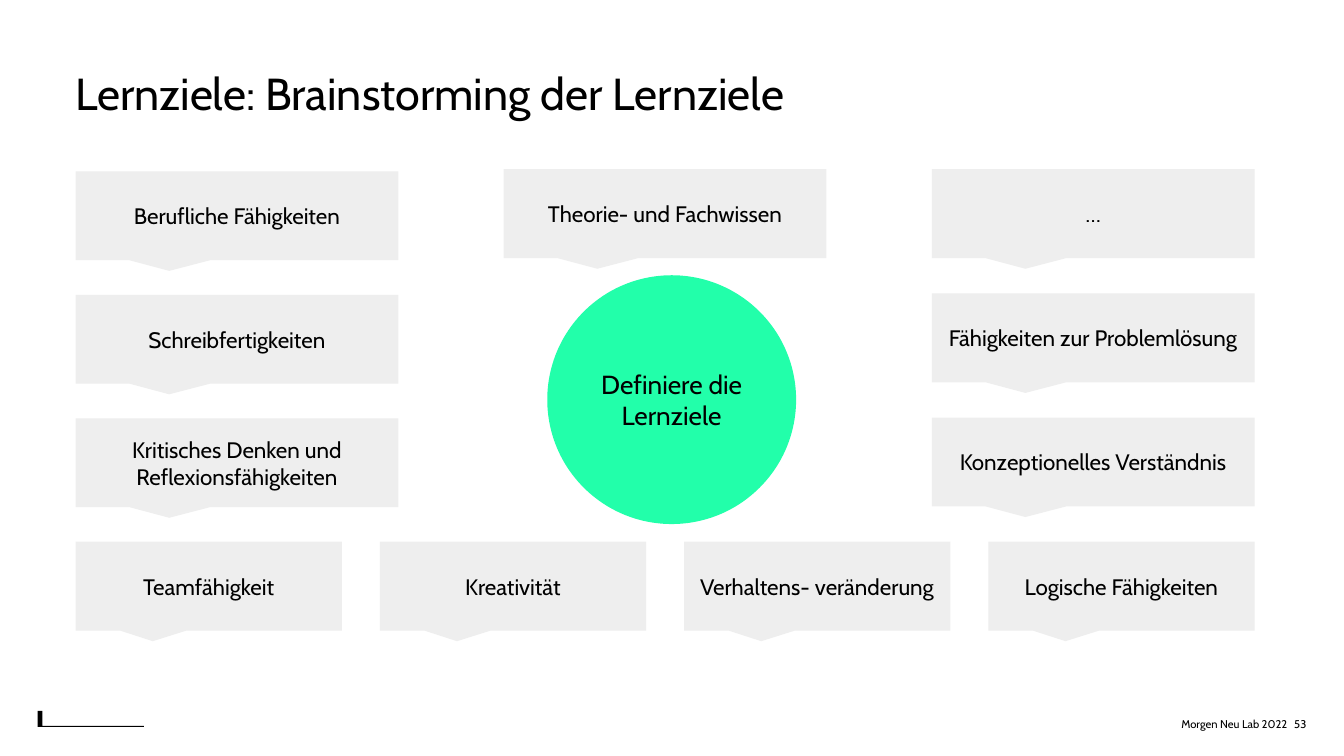
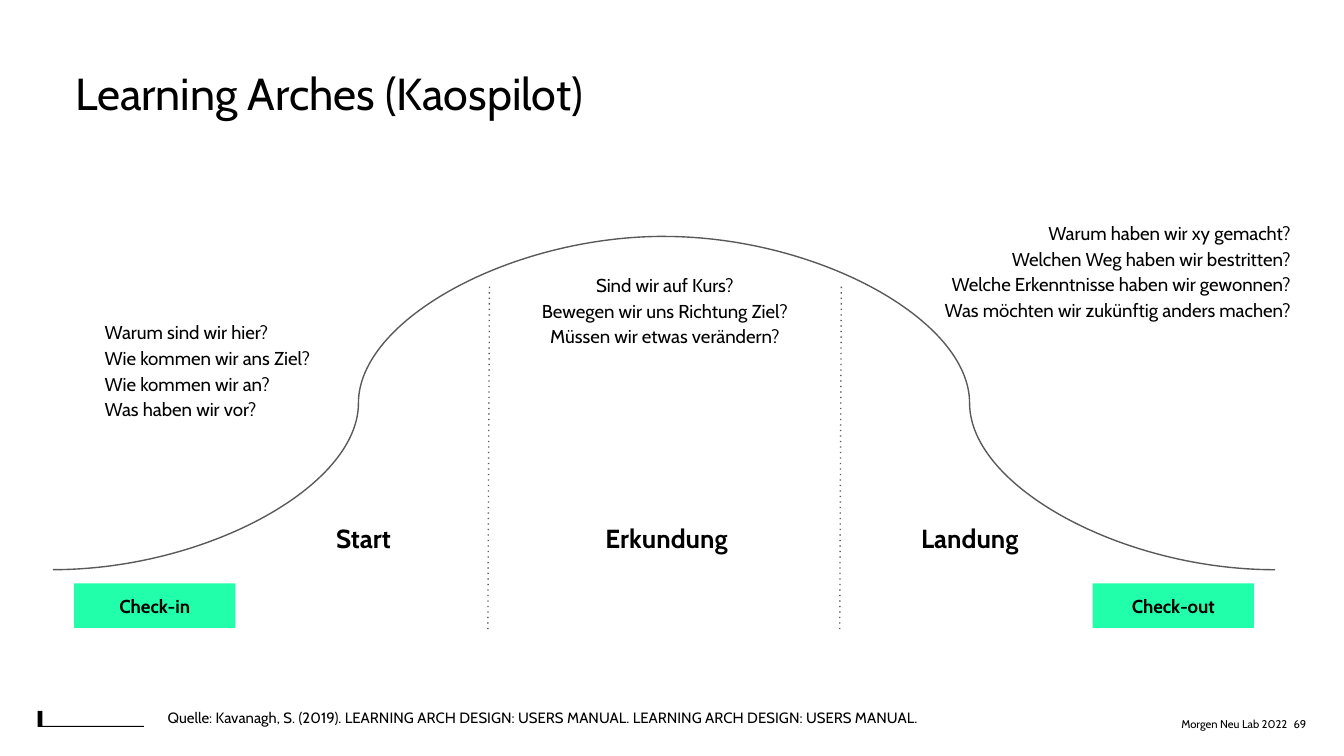
from lxml.etree import SubElement
from pptx import Presentation
from pptx.dml.color import RGBColor
from pptx.enum.shapes import MSO_CONNECTOR, MSO_SHAPE
from pptx.enum.text import MSO_ANCHOR, MSO_AUTO_SIZE, PP_ALIGN
from pptx.oxml.ns import qn
from pptx.util import Cm, Pt

FONT = "Cabin"
BLACK = RGBColor(0x00, 0x00, 0x00)
WHITE = RGBColor(0xFF, 0xFF, 0xFF)
GREY = RGBColor(0xEE, 0xEE, 0xEE)
DARK_GREY = RGBColor(0x59, 0x59, 0x59)
MINT = RGBColor(0x22, 0xFF, 0xAA)
LEFT, CENTER, RIGHT = PP_ALIGN.LEFT, PP_ALIGN.CENTER, PP_ALIGN.RIGHT
INSET = 0.25
CALLOUT_H = 1.68


def cm(*values):
    return [Cm(v) for v in values]


def write(sp, lines, size, align=CENTER, bold=False, spacing=None,
          anchor=MSO_ANCHOR.MIDDLE, insets=(INSET,) * 4):
    tf = sp.text_frame
    tf.word_wrap = True
    tf.auto_size = MSO_AUTO_SIZE.NONE
    tf.vertical_anchor = anchor
    tf.margin_left, tf.margin_top, tf.margin_right, tf.margin_bottom = cm(*insets)
    for i, line in enumerate(lines):
        p = tf.add_paragraph() if i else tf.paragraphs[0]
        p.alignment = align
        if spacing:
            p.line_spacing = spacing
        r = p.add_run()
        r.text = line
        r.font.name = FONT
        r.font.size = Pt(size)
        r.font.bold = bold
        r.font.color.rgb = BLACK


def text_box(s, box, lines, size, **style):
    sp = s.shapes.add_textbox(*cm(*box))
    write(sp, lines, size, **style)
    return sp


def paint(sp, fill):
    sp.shadow.inherit = False
    sp.fill.solid()
    sp.fill.fore_color.rgb = fill
    sp.line.fill.background()


def shape(s, kind, box, fill):
    sp = s.shapes.add_shape(kind, *cm(*box))
    paint(sp, fill)
    return sp


def connector(s, kind, start, end, dash=None):
    c = s.shapes.add_connector(kind, *cm(*start, *end))
    c.line.color.rgb = DARK_GREY
    c.line.width = Pt(0.75)
    spPr = c.element.spPr
    if dash:
        SubElement(spPr.find(qn("a:ln")), qn("a:prstDash")).set("val", dash)
    SubElement(spPr, qn("a:effectLst"))


def corner_mark(s, box):
    x, y, w, h = box
    post, base = 0.09, 0.02
    outline = [(post, 0), (post, h - base), (w, h - base), (w, h), (0, h)]
    builder = s.shapes.build_freeform(*cm(x, y))
    builder.add_line_segments([cm(x + dx, y + dy) for dx, dy in outline])
    paint(builder.convert_to_shape(), BLACK)


def footer(s, box, number):
    x, y, w, h = box
    corner_mark(s, (x, y + 0.05, 2.01, 0.3))
    number_w = 0.36
    insets = (0, INSET, 0, INSET)
    text_box(s, (x + w - number_w - 4.5, y, 4.5, h), ["Morgen Neu Lab 2022"], 6,
             align=RIGHT, insets=insets)
    text_box(s, (x + w - number_w, y, number_w, h), [number], 6,
             align=RIGHT, insets=insets)


def base_slide(prs, title, title_box, number):
    s = prs.slides.add_slide(prs.slide_layouts[5])
    s.background.fill.solid()
    s.background.fill.fore_color.rgb = WHITE
    sp = s.shapes.title
    sp.left, sp.top, sp.width, sp.height = cm(*title_box)
    write(sp, [title], 24, align=LEFT, anchor=MSO_ANCHOR.TOP, insets=(0.71,) * 4)
    footer(s, (0.71, 13.39, 23.98, 0.58), number)
    return s


def callout(s, x, y, w, label):
    sp = shape(s, MSO_SHAPE.RECTANGULAR_CALLOUT, (x, y, w, CALLOUT_H), GREY)
    sp.adjustments[0] = -0.21
    sp.adjustments[1] = 0.62
    write(sp, [label], 12)


def callout_column(s, x, top, bottom, w, labels):
    step = (bottom - top) / len(labels)
    for i, label in enumerate(labels):
        callout(s, x, top + i * step, w, label)


def callout_row(s, x, y, total_w, w, labels):
    step = (total_w - w) / (len(labels) - 1)
    for i, label in enumerate(labels):
        callout(s, x + i * step, y, w, label)


def brainstorming(s, box):
    x, y, w, h = box
    wide, narrow = 6.1, 5.03
    last_row = y + h - CALLOUT_H
    callout_column(s, x, y + 0.04, last_row, wide, [
        "Berufliche Fähigkeiten",
        "Schreibfertigkeiten",
        "Kritisches Denken und Reflexionsfähigkeiten"])
    callout(s, x + (w - wide) / 2, y, wide, "Theorie- und Fachwissen")
    callout_column(s, x + w - wide, y, last_row, wide, [
        "…", "Fähigkeiten zur Problemlösung", "Konzeptionelles Verständnis"])
    callout_row(s, x, last_row, w, narrow, [
        "Teamfähigkeit", "Kreativität", "Verhaltens- veränderung",
        "Logische Fähigkeiten"])
    sp = shape(s, MSO_SHAPE.OVAL, (x + 8.94, y + 2.03, 4.65, 4.65), MINT)
    sp.line.color.rgb = MINT
    sp.line.width = Pt(1.5)
    write(sp, ["Definiere die Lernziele"], 14)


def learning_arch(s, box):
    x, y, w, h = box
    peak = (x + w / 2, y)
    connector(s, MSO_CONNECTOR.CURVE, (x, y + h), peak)
    connector(s, MSO_CONNECTOR.CURVE, peak, (x + w, y + h))
    for dx in (8.25, 14.9):
        connector(s, MSO_CONNECTOR.STRAIGHT, (x + dx, y + 0.95),
                  (x + dx - 0.03, y + 7.47), "dot")
    for i, phase in enumerate(("Start", "Erkundung", "Landung")):
        text_box(s, (x + 3.85 + i * 5.73, y + 5.23, 4.04, 0.94), [phase], 14, bold=True)
    for dx, label in ((0.4, "Check-in"), (19.65, "Check-out")):
        sp = shape(s, MSO_SHAPE.RECTANGLE, (x + dx, y + 6.56, 3.05, 0.84), MINT)
        write(sp, [label], 10, bold=True)
    questions = [
        (0.73, 1.14, 5.87, LEFT, [
            "Warum sind wir hier?", "Wie kommen wir ans Ziel?",
            "Wie kommen wir an?", "Was haben wir vor?"]),
        (8.63, 0, 5.87, CENTER, [
            "Sind wir auf Kurs?", "Bewegen wir uns Richtung Ziel?",
            "Müssen wir etwas verändern?"]),
        (15.89, -0.74, 7.75, RIGHT, [
            "Warum haben wir xy gemacht?", "Welchen Weg haben wir bestritten?",
            "Welche Erkenntnisse haben wir gewonnen?",
            "Was möchten wir zukünftig anders machen?"]),
    ]
    for dx, dy, width, align, lines in questions:
        text_box(s, (x + dx, y + dy, width, 2.74), lines, 10, align=align, spacing=1.15)


def source_note(s, box):
    sp = text_box(s, box, [
        "Quelle: Kavanagh, S. (2019). LEARNING ARCH DESIGN: USERS MANUAL. "
        "LEARNING ARCH DESIGN: USERS MANUAL."], 8, align=LEFT, anchor=MSO_ANCHOR.TOP)
    sp.text_frame.auto_size = MSO_AUTO_SIZE.SHAPE_TO_FIT_TEXT


def main():
    prs = Presentation()
    prs.slide_width, prs.slide_height = cm(25.4, 14.29)

    s = base_slide(prs, "Lernziele: Brainstorming der Lernziele",
                   (0.71, 0.53, 23.7, 1.68), "53")
    brainstorming(s, (1.43, 3.2, 22.28, 8.72))

    s = base_slide(prs, "Learning Arches (Kaospilot)", (0.71, 0.53, 22, 3.3), "69")
    learning_arch(s, (1, 4.47, 23.1, 6.3))
    source_note(s, (2.92, 13.23, 16.64, 0.86))

    prs.save("out.pptx")


if __name__ == "__main__":
    main()
